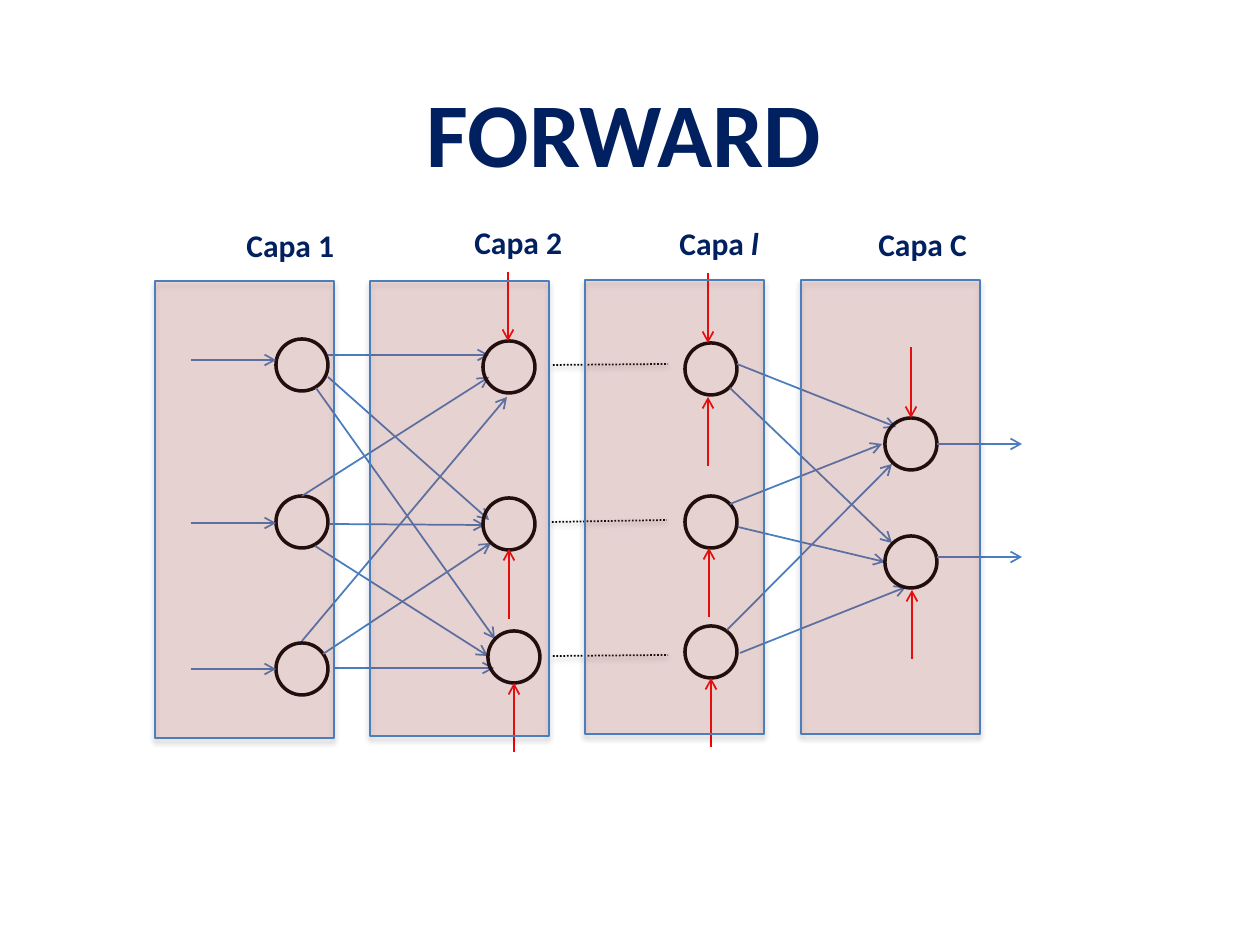
from dataclasses import dataclass

from lxml.etree import SubElement
from pptx import Presentation
from pptx.dml.color import RGBColor
from pptx.enum.dml import MSO_LINE_DASH_STYLE as Dash
from pptx.enum.shapes import MSO_CONNECTOR as Connector, MSO_SHAPE as Shape
from pptx.enum.text import MSO_ANCHOR as Anchor, MSO_AUTO_SIZE as AutoSize, PP_ALIGN as Align
from pptx.oxml.ns import qn
from pptx.util import Emu, Pt

PX = 914400 / 126
FONT = "Calibri"
NEURON = 52
PANEL_WIDTH = 179
COLORS = {
    "navy": "002060",
    "link": "4B7EBC",
    "bias": "FF0000",
    "panel": "C0504D",
    "black": "000000",
}


@dataclass
class Layer:
    """One network layer; all inner positions are relative to its panel."""
    name: str
    box: tuple        # left, top, height of the panel
    label: tuple      # left, top, width
    neurons: list     # left, top
    biases: list      # x, start y, tip y
    links: list       # start x, start y, tip x, tip y
    dots: tuple = ()  # same order as links
    italic: str = ""  # end of the name, in italics


LAYERS = [
    Layer("Capa 1", (155, 281, 457), (79, -61, 113),
          neurons=[(121, 58), (121, 215), (121, 362)],
          biases=[],
          links=[(36, 79, 121, 79), (36, 242, 121, 242), (36, 388, 121, 388),
                 (173, 74, 334, 74), (173, 96, 334, 239), (161, 107, 340, 358),
                 (147, 215, 334, 96), (175, 243, 330, 244), (160, 265, 333, 375),
                 (147, 360, 352, 116), (168, 373, 336, 262), (178, 387, 339, 387)]),
    Layer("Capa 2", (370, 281, 455), (92, -64, 113),
          neurons=[(113, 60), (113, 217), (118, 350)],
          biases=[(138, -9, 60), (139, 338, 268), (144, 471, 402)],
          links=[],
          dots=((183, 84, 298, 83), (182, 241, 297, 239), (183, 375, 298, 374))),
    Layer("Capa ", (585, 280, 454), (82, -62, 106), italic="l",
          neurons=[(100, 63), (100, 216), (100, 346)],
          biases=[(123, -7, 63), (123, 186, 117), (124, 337, 268), (126, 467, 398)],
          links=[(152, 84, 311, 147), (145, 108, 307, 263),
                 (145, 224, 297, 164), (153, 247, 300, 282),
                 (142, 350, 307, 184), (155, 373, 321, 307)]),
    Layer("Capa C", (801, 280, 454), (65, -61, 115),
          neurons=[(84, 138), (84, 256)],
          biases=[(110, 67, 138), (111, 379, 310)],
          links=[(136, 164, 221, 164), (136, 277, 221, 277)]),
]


def px(*values):
    return [Emu(round(value * PX)) for value in values]


def rgb(name):
    return RGBColor.from_string(COLORS[name])


def style_run(run, size, italic=None):
    font = run.font
    font.name, font.size, font.bold, font.italic = FONT, Pt(size), True, italic
    font.color.rgb = rgb("navy")


def add_shadow(effects, distance, opacity):
    shadow = SubElement(effects, qn("a:outerShdw"), blurRad=str(Pt(3.1)),
                        dist=str(Pt(distance)), dir="5400000", rotWithShape="0")
    color = SubElement(shadow, qn("a:srgbClr"), val=COLORS["black"])
    SubElement(color, qn("a:alpha"), val=str(opacity * 1000))


def add_line(slide, left, top, points, color, dotted=False):
    x1, y1, x2, y2 = points
    line = slide.shapes.add_connector(
        Connector.STRAIGHT, *px(left + x1, top + y1, left + x2, top + y2))
    line.line.color.rgb = rgb(color)
    line.line.width = Pt(1)
    properties = line.line._get_or_add_ln().getparent()
    if dotted:
        line.line.dash_style = Dash.ROUND_DOT
    else:
        SubElement(line.line._get_or_add_ln(), qn("a:tailEnd"), type="arrow")
    effects = SubElement(properties, qn("a:effectLst"))
    if dotted:
        add_shadow(effects, 1.6, 38)


def add_title(slide, left, top, width, height):
    box = slide.shapes.add_textbox(*px(left, top, width, height))
    frame = box.text_frame
    frame.word_wrap = True
    frame.vertical_anchor = Anchor.MIDDLE
    frame.text = "FORWARD"
    paragraph = frame.paragraphs[0]
    paragraph.alignment = Align.CENTER
    style_run(paragraph.runs[0], 52)


def add_layer_network(slide, layer, left, top):
    # Neurons
    for x, y in layer.neurons:
        neuron = slide.shapes.add_shape(Shape.OVAL, *px(left + x, top + y, NEURON, NEURON))
        neuron.shadow.inherit = False
        neuron.fill.background()
        neuron.line.color.rgb = rgb("black")
        neuron.line.width = Pt(2)
    # Links, bias arrows and dotted continuations
    for points in layer.links:
        add_line(slide, left, top, points, "link")
    for x, start, tip in layer.biases:
        add_line(slide, left, top, (x, start, x, tip), "bias")
    for points in layer.dots:
        add_line(slide, left, top, points, "black", dotted=True)


def add_layer_panel(slide, layer, left, top, height):
    # Translucent panel
    panel = slide.shapes.add_shape(Shape.RECTANGLE, *px(left, top, PANEL_WIDTH, height))
    panel.fill.solid()
    panel.fill.fore_color.rgb = rgb("panel")
    panel.line.color.rgb = rgb("link")
    panel.line.width = Pt(0.75)
    panel.shadow.inherit = False
    properties = panel._element.spPr
    fill_color = properties.find(qn("a:solidFill")).find(qn("a:srgbClr"))
    SubElement(fill_color, qn("a:alpha"), val="18000")
    add_shadow(properties.find(qn("a:effectLst")), 1.8, 35)

    # Layer name
    x, y, width = layer.label
    label = slide.shapes.add_textbox(*px(left + x, top + y, width, 50))
    frame = label.text_frame
    frame.word_wrap = False
    frame.auto_size = AutoSize.SHAPE_TO_FIT_TEXT
    frame.text = layer.name
    paragraph = frame.paragraphs[0]
    style_run(paragraph.runs[0], 18)
    if layer.italic:
        run = paragraph.add_run()
        run.text = layer.italic
        style_run(run, 18, italic=True)


def main():
    presentation = Presentation()
    presentation.slide_width, presentation.slide_height = px(1260, 945)
    slide = presentation.slides.add_slide(presentation.slide_layouts[6])
    add_title(slide, 59, 49, 1130, 164)
    # Panels lie over the whole network
    for layer in LAYERS:
        add_layer_network(slide, layer, *layer.box[:2])
    for layer in LAYERS:
        add_layer_panel(slide, layer, *layer.box)
    presentation.save("out.pptx")


if __name__ == "__main__":
    main()
